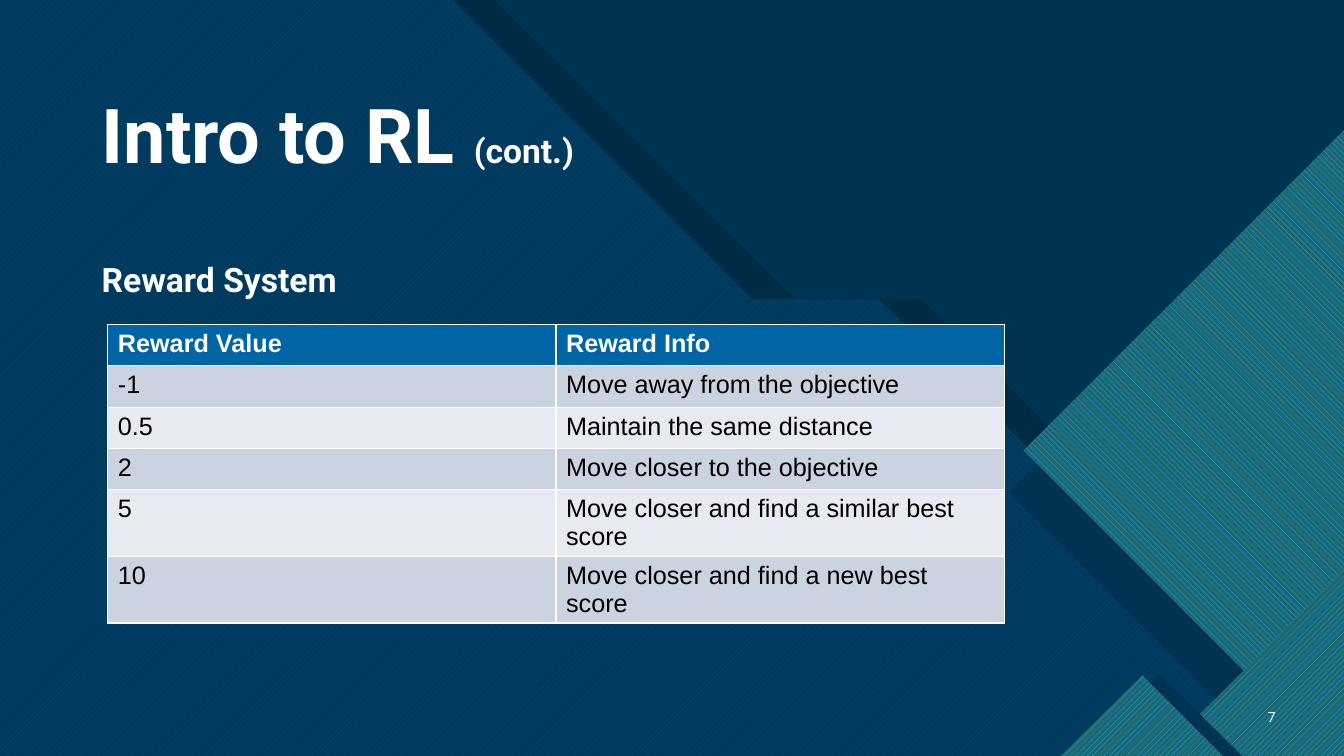
import dataclasses

import lxml.etree
import pptx
import pptx.dml.color
import pptx.enum.dml
import pptx.enum.text
import pptx.oxml.ns
import pptx.util

Inches = pptx.util.Inches
Pt = pptx.util.Pt
RGBColor = pptx.dml.color.RGBColor
Pattern = pptx.enum.dml.MSO_PATTERN
Anchor = pptx.enum.text.MSO_ANCHOR
Align = pptx.enum.text.PP_ALIGN


@dataclasses.dataclass(frozen=True)
class Theme:
    navy: str = "003352"
    black: str = "000000"
    white: str = "FFFFFF"
    blue: str = "0065A4"
    aqua: str = "47C3D3"
    sky: str = "2FAFFF"
    teal: str = "1B6872"
    band_dark: str = "CCD3E0"
    band_light: str = "E7EAF0"
    heading_font: str = "Roboto"
    table_font: str = "Arial"
    number_font: str = "Lato"
    title_size: int = 54
    subtitle_size: int = 24
    table_size: int = 18
    number_size: int = 10


theme = Theme()


def add_panel(shapes, points, color, pattern=None, back_color=None):
    corners = [(Inches(x), Inches(y)) for x, y in points]
    builder = shapes.build_freeform(*corners[0])
    builder.add_line_segments(corners[1:], close=True)
    panel = builder.convert_to_shape()
    panel.shadow.inherit = False
    panel.line.fill.background()
    if pattern is None:
        panel.fill.solid()
    else:
        panel.fill.patterned()
        panel.fill.pattern = pattern
        panel.fill.back_color.rgb = RGBColor.from_string(back_color)
    panel.fill.fore_color.rgb = RGBColor.from_string(color)
    return panel


def format_text(paragraph, font_name, size, color, bold=False):
    paragraph.font.name = font_name
    paragraph.font.size = Pt(size)
    paragraph.font.bold = bold
    paragraph.font.color.rgb = RGBColor.from_string(color)


presentation = pptx.Presentation()
presentation.slide_width = Inches(13.33)
presentation.slide_height = Inches(7.5)
slide = presentation.slides.add_slide(presentation.slide_layouts[5])
shapes = slide.shapes
slide.background.fill.solid()
slide.background.fill.fore_color.rgb = RGBColor.from_string(theme.navy)

add_panel(shapes, [(0.42, 0), (4.9, 0), (7.88, 2.97), (9.14, 2.97),
                   (13.33, 7.17), (13.33, 7.5), (0.42, 7.5)], theme.black)
add_panel(shapes, [(0, 0), (4.49, 0), (7.46, 2.97), (8.72, 2.97),
                   (13.25, 7.5), (0, 7.5)],
          theme.aqua, Pattern.WIDE_UPWARD_DIAGONAL, theme.blue)
veil = add_panel(shapes, [(0, 0), (6.95, 0), (9.92, 2.97), (11.18, 2.97),
                          (13.33, 5.12), (13.33, 7.5), (0, 7.5)], theme.navy)
veil_color = veil.fill._xPr.find(".//" + pptx.oxml.ns.qn("a:srgbClr"))
lxml.etree.SubElement(veil_color, pptx.oxml.ns.qn("a:alpha"), val="85000")

diamonds = [
    ([(13.33, 1.55), (13.33, 7.08), (12.2, 7.08), (10, 4.88)],
     [(13.33, 1.29), (13.33, 7.37), (13.05, 7.37), (10.15, 4.47)],
     Pattern.WIDE_DOWNWARD_DIAGONAL),
    ([(13.33, 6.14), (13.33, 7.5), (11.97, 7.5)],
     [(13.33, 5.66), (13.33, 7.5), (11.49, 7.5)],
     Pattern.WIDE_UPWARD_DIAGONAL),
    ([(12.32, 7.5), (11.5, 6.69), (10.69, 7.5)],
     [(10.52, 7.5), (11.33, 6.7), (12.13, 7.5)],
     Pattern.WIDE_UPWARD_DIAGONAL),
]
for shade, face, pattern in diamonds:
    add_panel(shapes, shade, theme.navy)
    add_panel(shapes, face, theme.sky, pattern, theme.teal)

title = shapes.title
shapes._spTree.append(title._element)
title.left, title.top = Inches(0.91), Inches(0.89)
title.width, title.height = Inches(8.51), Inches(0.94)
subtitle = shapes.add_textbox(Inches(0.91), Inches(2.08), Inches(8.51), Inches(0.94))
headings = [
    (title, [("Intro to RL ", theme.title_size), ("(cont.)", theme.subtitle_size)]),
    (subtitle, [("Reward System", theme.subtitle_size)]),
]
for heading, parts in headings:
    heading.text_frame.word_wrap = True
    heading.text_frame.auto_size = pptx.enum.text.MSO_AUTO_SIZE.NONE
    heading.text_frame.vertical_anchor = Anchor.BOTTOM
    paragraph = heading.text_frame.paragraphs[0]
    paragraph.alignment = Align.LEFT
    paragraph.line_spacing = 0.9
    format_text(paragraph, theme.heading_font, parts[0][1], theme.white, True)
    for text, size in parts:
        run = paragraph.add_run()
        run.text = text
        run.font.size = Pt(size)

rewards = [
    ("Reward Value", "Reward Info"),
    ("-1", "Move away from the objective"),
    ("0.5", "Maintain the same distance"),
    ("2", "Move closer to the objective"),
    ("5", "Move closer and find a similar best score"),
    ("10", "Move closer and find a new best score"),
]
table = shapes.add_table(len(rewards), 2, Inches(1.07), Inches(3.22),
                         Inches(8.89), Inches(0.41 * len(rewards))).table
for row_index, reward in enumerate(rewards):
    is_header = row_index == 0
    band = theme.band_dark if row_index % 2 else theme.band_light
    for column_index, text in enumerate(reward):
        cell = table.cell(row_index, column_index)
        cell.text = text
        cell.fill.solid()
        cell.fill.fore_color.rgb = RGBColor.from_string(theme.blue if is_header else band)
        format_text(cell.text_frame.paragraphs[0], theme.table_font, theme.table_size,
                    theme.white if is_header else theme.black, is_header)

page_number = shapes.add_textbox(Inches(12.31), Inches(6.91), Inches(0.44), Inches(0.4))
page_number.text_frame.word_wrap = True
page_number.text_frame.vertical_anchor = Anchor.MIDDLE
page_number.text_frame.text = "7"
paragraph = page_number.text_frame.paragraphs[0]
paragraph.alignment = Align.RIGHT
format_text(paragraph, theme.number_font, theme.number_size, theme.white)

presentation.save("out.pptx")
